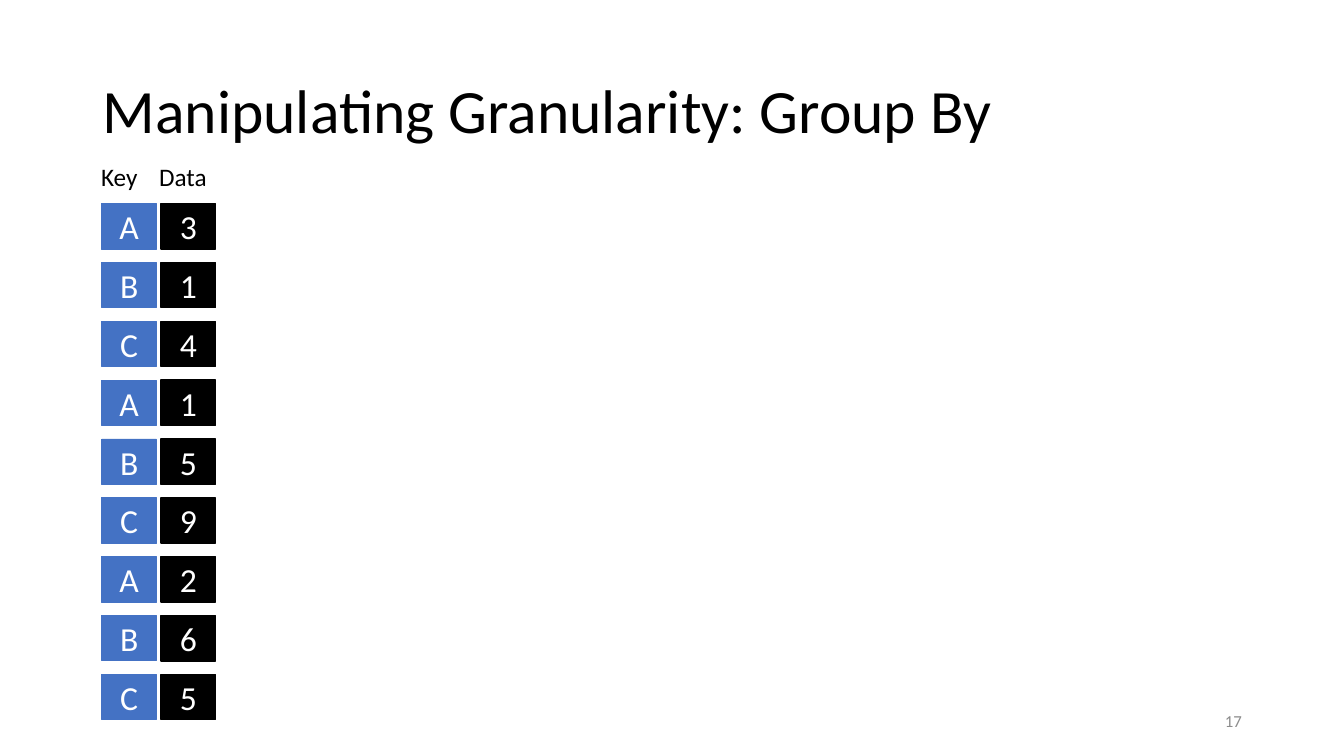
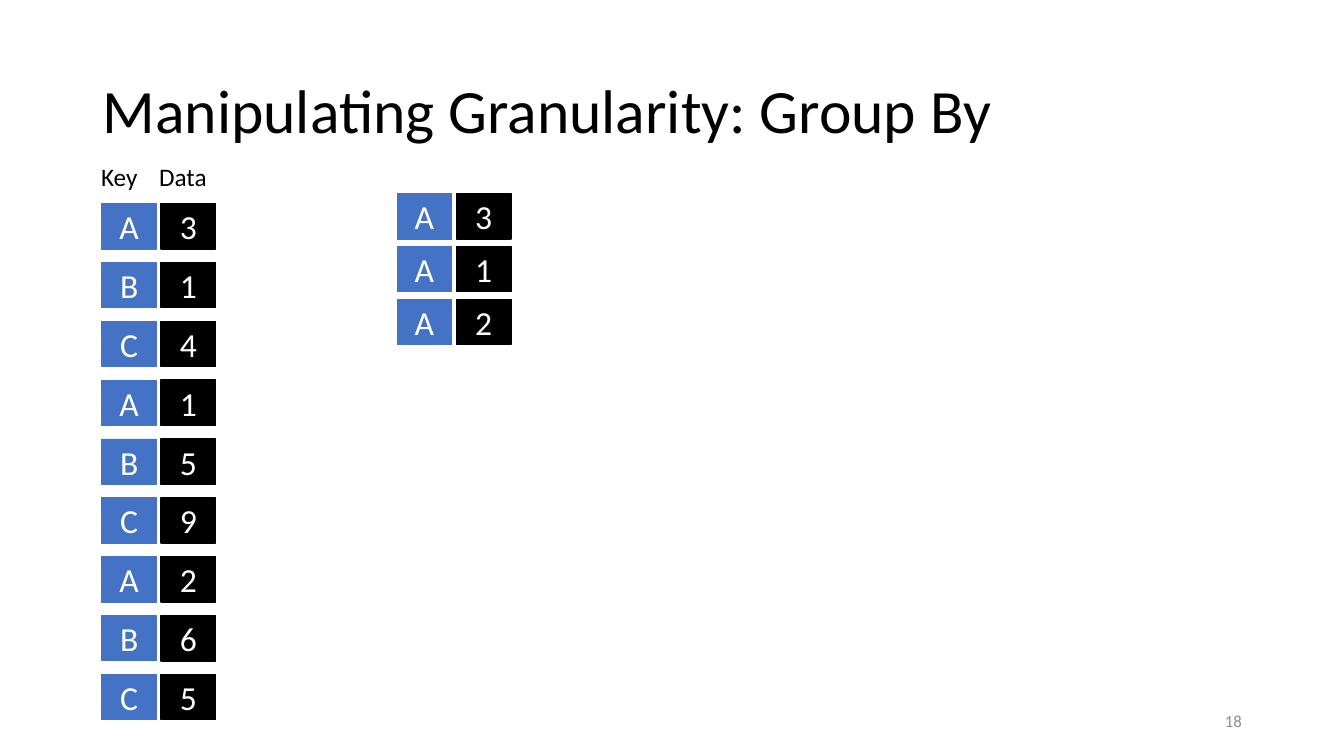
from dataclasses import dataclass

import pptx
import pptx.dml.color
import pptx.enum.shapes
import pptx.enum.text
import pptx.util

ALIGN = pptx.enum.text.PP_ALIGN
ANCHOR = pptx.enum.text.MSO_ANCHOR


@dataclass(frozen=True)
class Theme:
    """Slide size in inches, font, colours and type sizes."""
    width: float = 13.33
    height: float = 7.5
    font: str = "Calibri"
    ink: str = "000000"
    key_fill: str = "4472C4"
    data_fill: str = "000000"
    cell_ink: str = "FFFFFF"
    footer_ink: str = "8C8C8C"
    title_size: int = 44
    cell_size: int = 24
    heading_size: int = 18
    footer_size: int = 12


@dataclass(frozen=True)
class Box:
    """A region in percent of the slide's width and height."""
    left: float
    top: float
    width: float
    height: float

    def lengths(self):
        """Return left, top, width and height as lengths."""
        across, down = THEME.width / 100, THEME.height / 100
        return [pptx.util.Inches(value) for value in (
            self.left * across, self.top * down, self.width * across, self.height * down)]


THEME = Theme()
TITLE_BOX = Box(6.9, 5.33, 86.25, 19.33)
FOOTER_BOX = Box(70.65, 92.67, 22.5, 5.33)
SOURCE_BOX = Box(7.58, 26.93, 8.48, 68.27)
GROUP_BOX = Box(29.55, 25.6, 8.48, 20)
CELL_SHARE = 0.48
CELL_HEIGHT = 6
HEADING_SHARES = (("Key", 0, 0.58), ("Data", 0.51, 0.73))

TITLE = "Manipulating Granularity: Group By"
RECORDS = list(zip("ABCABCABC", (3, 1, 4, 1, 5, 9, 2, 6, 5)))


def rgb(value):
    """Return the colour of a hex string."""
    return pptx.dml.color.RGBColor.from_string(value)


def write(shape, text, size, colour, align=ALIGN.LEFT, anchor=ANCHOR.MIDDLE):
    """Put one styled paragraph into a shape and return it."""
    frame = shape.text_frame
    frame.word_wrap = True
    frame.vertical_anchor = anchor
    paragraph = frame.paragraphs[0]
    paragraph.text = text
    paragraph.alignment = align
    paragraph.font.name = THEME.font
    paragraph.font.size = pptx.util.Pt(size)
    paragraph.font.color.rgb = rgb(colour)
    return paragraph


def add_title(slide, box):
    """Place the slide title."""
    shape = slide.shapes.add_textbox(*box.lengths())
    paragraph = write(shape, TITLE, THEME.title_size, THEME.ink)
    paragraph.line_spacing = 0.9


def add_footer(slide, box, number):
    """Place the slide number."""
    shape = slide.shapes.add_textbox(*box.lengths())
    write(shape, str(number), THEME.footer_size, THEME.footer_ink, ALIGN.RIGHT)


def add_headings(slide, box):
    """Place the column headings above a stack of records."""
    for text, offset, share in HEADING_SHARES:
        heading = Box(box.left - 0.8 + offset * box.width, box.top - 6.27,
                      share * box.width, 5.33)
        shape = slide.shapes.add_textbox(*heading.lengths())
        write(shape, text, THEME.heading_size, THEME.ink, anchor=ANCHOR.TOP)


def add_cell(shapes, box, text, fill, line_width):
    """Place one filled cell."""
    shape = shapes.add_shape(pptx.enum.shapes.MSO_SHAPE.RECTANGLE, *box.lengths())
    shape.shadow.inherit = False
    shape.fill.solid()
    shape.fill.fore_color.rgb = rgb(fill)
    shape.line.color.rgb = rgb(fill)
    shape.line.width = pptx.util.Pt(line_width)
    write(shape, text, THEME.cell_size, THEME.cell_ink, ALIGN.CENTER)


def add_record(slide, box, key, value):
    """Place a key cell and a data cell, grouped, at the two ends of a box."""
    group = slide.shapes.add_group_shape()
    width = CELL_SHARE * box.width
    data_left = box.left + box.width - width
    add_cell(group.shapes, Box(box.left, box.top, width, box.height),
             key, THEME.key_fill, 0.5)
    add_cell(group.shapes, Box(data_left, box.top, width, box.height),
             str(value), THEME.data_fill, 1)


def add_stack(slide, box, records):
    """Spread records evenly from the top to the bottom of a box."""
    pitch = (box.height - CELL_HEIGHT) / (len(records) - 1)
    for row, (key, value) in enumerate(records):
        record_box = Box(box.left, box.top + row * pitch, box.width, CELL_HEIGHT)
        add_record(slide, record_box, key, value)


def add_group_by_slide(presentation, number, grouped_key=None):
    """Add a slide with all records and, if a key is given, its group."""
    slide = presentation.slides.add_slide(presentation.slide_layouts[6])
    add_title(slide, TITLE_BOX)
    add_headings(slide, SOURCE_BOX)
    add_stack(slide, SOURCE_BOX, RECORDS)
    if grouped_key:
        add_stack(slide, GROUP_BOX, [record for record in RECORDS if record[0] == grouped_key])
    add_footer(slide, FOOTER_BOX, number)


def main():
    """Build and save the presentation."""
    presentation = pptx.Presentation()
    presentation.slide_width = pptx.util.Inches(THEME.width)
    presentation.slide_height = pptx.util.Inches(THEME.height)
    add_group_by_slide(presentation, 17)
    add_group_by_slide(presentation, 18, "A")
    presentation.save("out.pptx")


if __name__ == "__main__":
    main()
